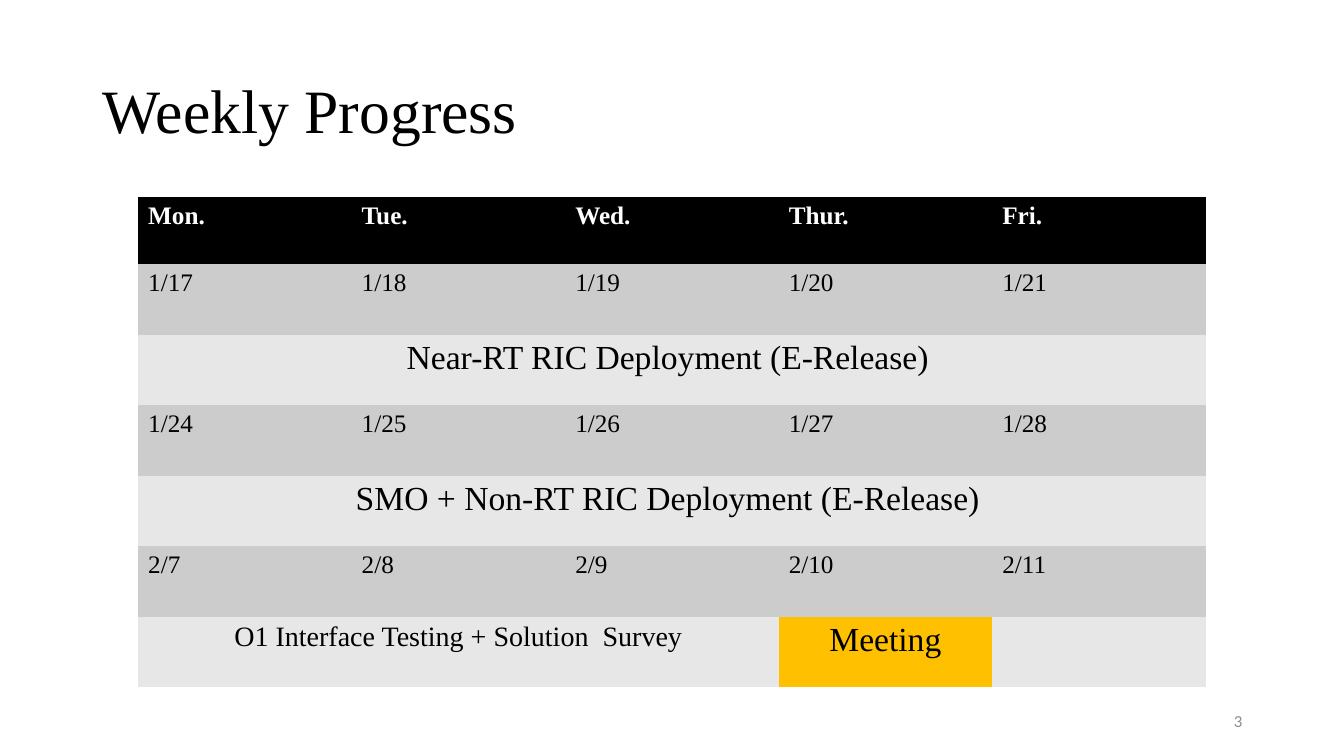
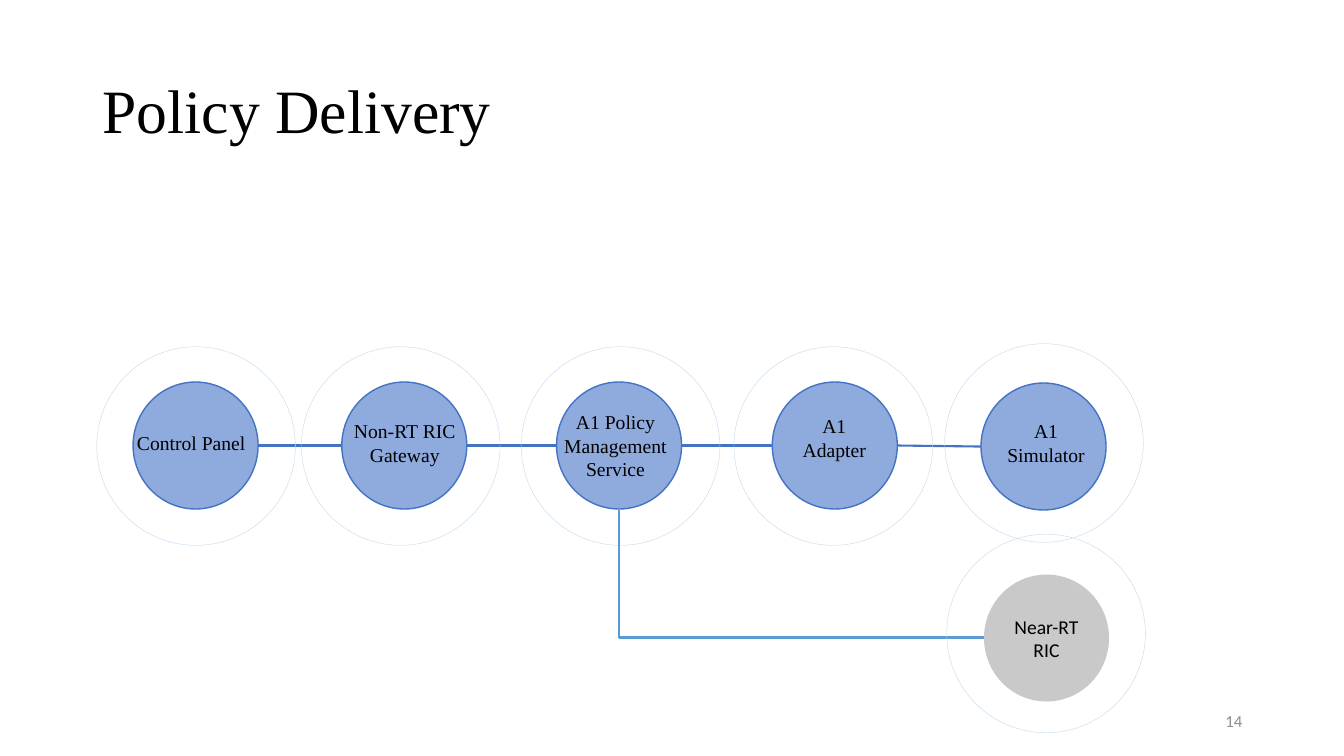
"""Build the weekly progress table and the policy delivery diagram."""
from pptx import Presentation
from pptx.dml.color import RGBColor
from pptx.enum import shapes, text
from pptx.oxml.ns import qn
from pptx.util import Inches, Pt
from lxml import etree

HUES = {
    "black": "000000", "white": "FFFFFF", "number": "8C8C8C",
    "date": "CCCCCC", "task": "E7E7E7", "meet": "FFC000",
    "ball": "8FAADC", "edge": "4472C4", "ring": "BDD7EE",
    "branch": "5B9BD5", "gray": "C9C9C9",
}
HUE = {name: RGBColor.from_string(code) for name, code in HUES.items()}
SERIF, SANS = "Times New Roman", "Calibri"
LEFT, MID, RIGHT = text.PP_ALIGN.LEFT, text.PP_ALIGN.CENTER, text.PP_ALIGN.RIGHT


def write(frame, words, size, hue="black", align=LEFT, font=SERIF, bold=False):
    frame.word_wrap = True
    frame.text = words
    for para in frame.paragraphs:
        para.alignment = align
        for run in para.runs:
            run.font.size = Pt(size)
            run.font.name = font
            run.font.bold = bold
            run.font.color.rgb = HUE[hue]


def disc(slide, left, top, wide, high, fill=None, line=None, width=1):
    oval = slide.shapes.add_shape(
        shapes.MSO_SHAPE.OVAL, Inches(left), Inches(top), Inches(wide), Inches(high))
    oval.shadow.inherit = False
    if fill:
        oval.fill.solid()
        oval.fill.fore_color.rgb = HUE[fill]
    else:
        oval.fill.background()
    if line:
        oval.line.color.rgb = HUE[line]
        oval.line.width = Pt(width)
    else:
        oval.line.fill.background()
    return oval


deck = Presentation()
deck.slide_width, deck.slide_height = Inches(13.33), Inches(7.5)
pages = []
for title, number in (("Weekly Progress", "3"), ("Policy Delivery", "14")):
    page = deck.slides.add_slide(deck.slide_layouts[6])
    head = page.shapes.add_textbox(Inches(0.92), Inches(0.4), Inches(11.5), Inches(1.45))
    write(head.text_frame, title, 44)
    head.text_frame.paragraphs[0].line_spacing = 0.9
    foot = page.shapes.add_textbox(Inches(9.42), Inches(6.95), Inches(3), Inches(0.4))
    write(foot.text_frame, number, 12, "number", RIGHT, SANS)
    for box in (head, foot):
        box.text_frame.vertical_anchor = text.MSO_ANCHOR.MIDDLE
    pages.append(page)
week, flow = pages

rows = [
    ["Mon.", "Tue.", "Wed.", "Thur.", "Fri."],
    ["1/17", "1/18", "1/19", "1/20", "1/21"],
    ["Near-RT RIC Deployment (E-Release) "],
    ["1/24", "1/25", "1/26", "1/27", "1/28"],
    ["SMO + Non-RT RIC Deployment (E-Release) "],
    ["2/7", "2/8", "2/9", "2/10", "2/11"],
    ["O1 Interface Testing + Solution  Survey", "", "", "Meeting"],
]
frame = week.shapes.add_table(
    len(rows), 5, Inches(1.37), Inches(1.95), Inches(10.59), Inches(4.89))
grid = frame.table
style = frame.element.find(".//" + qn("a:tableStyleId"))
style.text = "{2D5ABB26-0587-4C30-8999-92F81FD0307C}"
for r, row in enumerate(rows):
    grid.rows[r].height = Inches(0.7 if r else 0.67)
    task = r > 0 and r % 2 == 0
    for c in range(5):
        cell = grid.cell(r, c)
        words = row[c] if c < len(row) else ""
        fill = "meet" if words == "Meeting" else "task" if task else "date" if r else "black"
        cell.fill.solid()
        cell.fill.fore_color.rgb = HUE[fill]
        if words:
            size = 20 if words.startswith("O1") else 24 if task else 18
            write(cell.text_frame, words, size, "black" if r else "white",
                  MID if task else LEFT, bold=r == 0)
for r, last in ((2, 4), (4, 4), (6, 2)):
    grid.cell(r, 0).merge(grid.cell(r, last))

SIZE, HIGH, RING = 1.24, 1.26, 1.97
nodes = [
    (1.32, 3.79, 0.96, 3.44, "Control Panel", 1.26, 4.23, 1.35),
    (3.39, 3.79, 2.99, 3.44, "Non-RT RIC\nGateway", 3.16, 4.11, 1.71),
    (5.52, 3.79, 5.17, 3.44, "A1 Policy\nManagement\nService", 5.25, 4.02, 1.71),
    (7.66, 3.79, 7.28, 3.44, "A1\nAdapter", 7.42, 4.06, 1.71),
    (9.73, 3.8, 9.37, 3.41, "A1\nSimulator", 9.52, 4.11, 1.71),
]
for x, y, *rest in nodes:
    disc(flow, x, y, SIZE, HIGH, "ball", "edge")
for *rest, words, x, y, wide in nodes:
    lines = words.count("\n") + 1
    label = flow.shapes.add_textbox(
        Inches(x), Inches(y), Inches(wide), Inches(0.1 + 0.24 * lines))
    write(label.text_frame, words, 14, align=MID if lines > 1 else LEFT)

wires = []
for one, two in zip(nodes, nodes[1:]):
    wire = flow.shapes.add_connector(
        shapes.MSO_CONNECTOR.STRAIGHT, Inches(one[0] + SIZE), Inches(one[1] + HIGH / 2),
        Inches(two[0]), Inches(two[1] + HIGH / 2))
    wires.append((wire, "edge"))
for x, y, left, top, *rest in nodes:
    disc(flow, left, top, RING, RING, line="ring", width=0.25)

near = disc(flow, 9.76, 5.7, SIZE, HIGH, "gray")
inset = near.text_frame
inset.vertical_anchor = text.MSO_ANCHOR.MIDDLE
write(inset, "Near-RT\nRIC", 14, align=MID, font=SANS)

bend = flow.shapes.add_connector(
    shapes.MSO_CONNECTOR.ELBOW, Inches(8.58), Inches(3.88), Inches(7.31), Inches(7.5))
shape = bend.element.spPr
shape.find(qn("a:prstGeom")).set("prst", "bentConnector2")
shape.find(qn("a:xfrm")).set("rot", str(270 * 60000))
wires.append((bend, "branch"))
for wire, hue in wires:
    wire.line.color.rgb = HUE[hue]
    wire.line.width = Pt(1.5)
    etree.SubElement(wire.element.spPr, qn("a:effectLst"))
disc(flow, 9.39, 5.3, RING, RING, line="ring", width=0.25)

deck.save("out.pptx")
